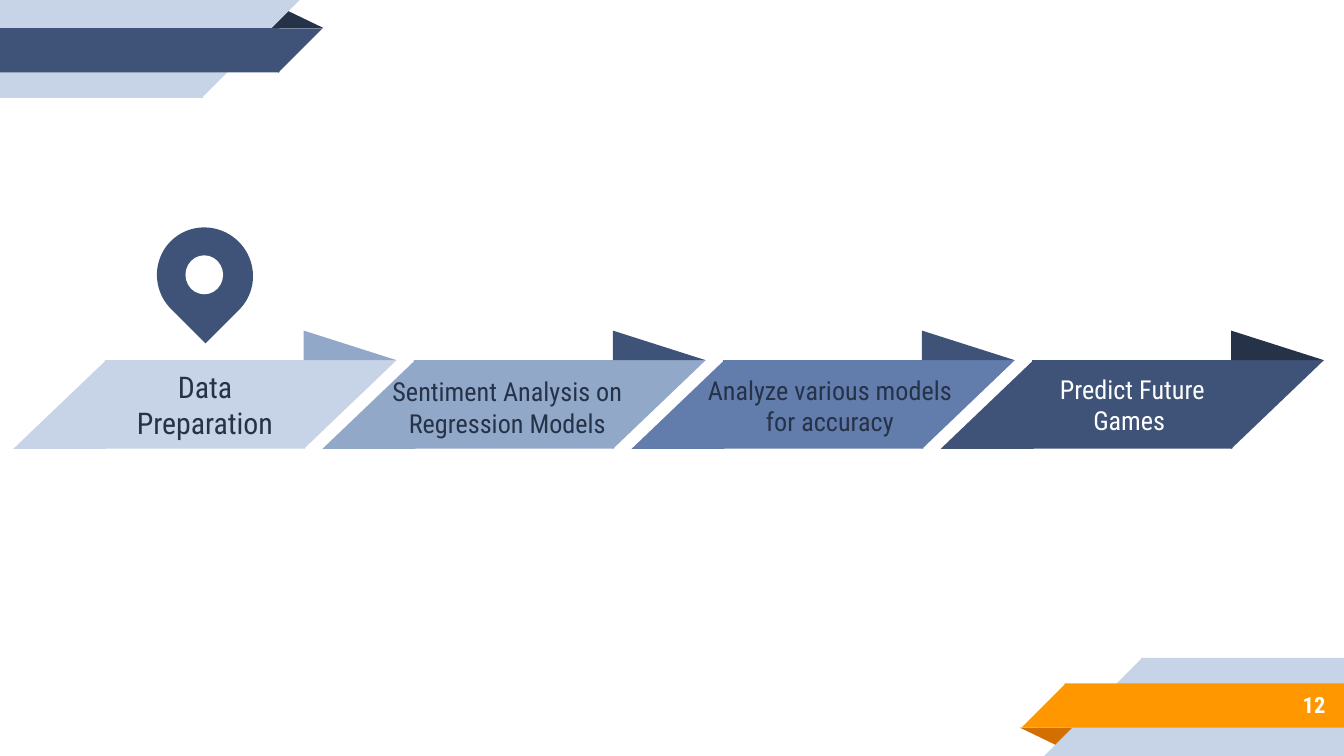
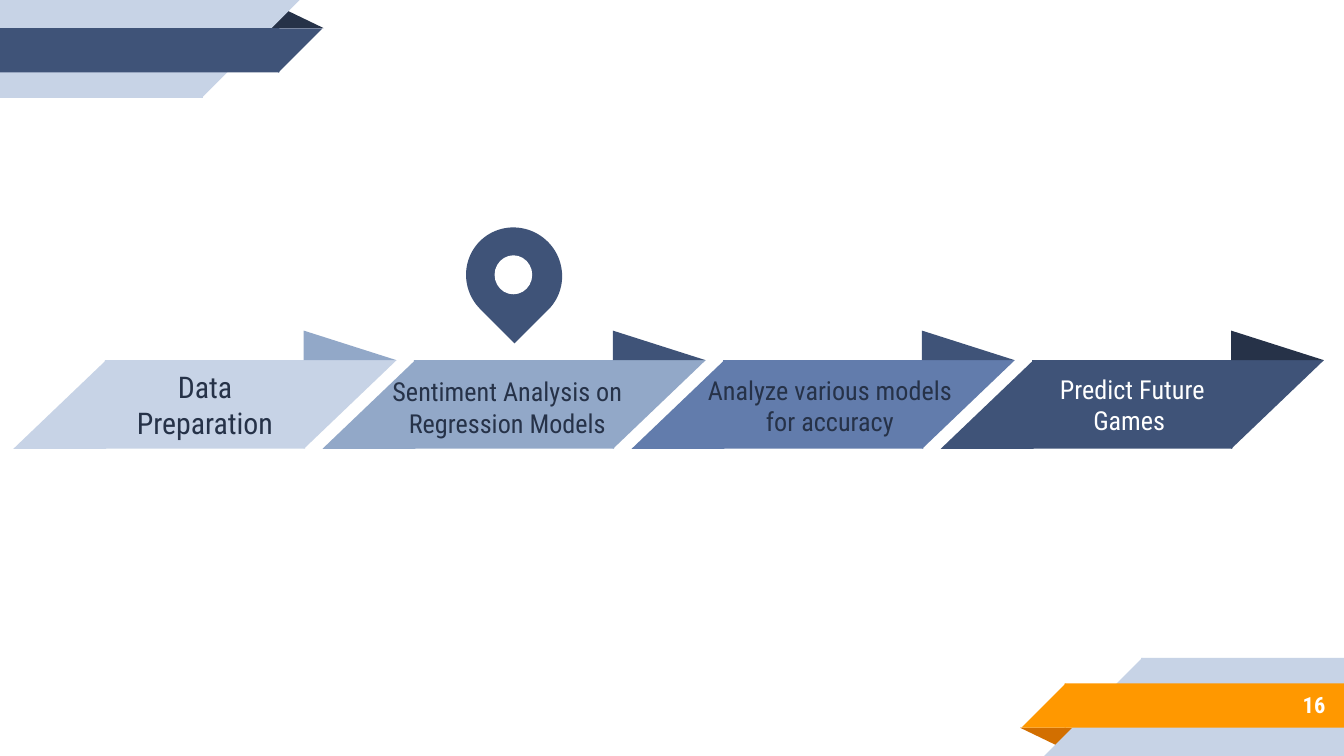
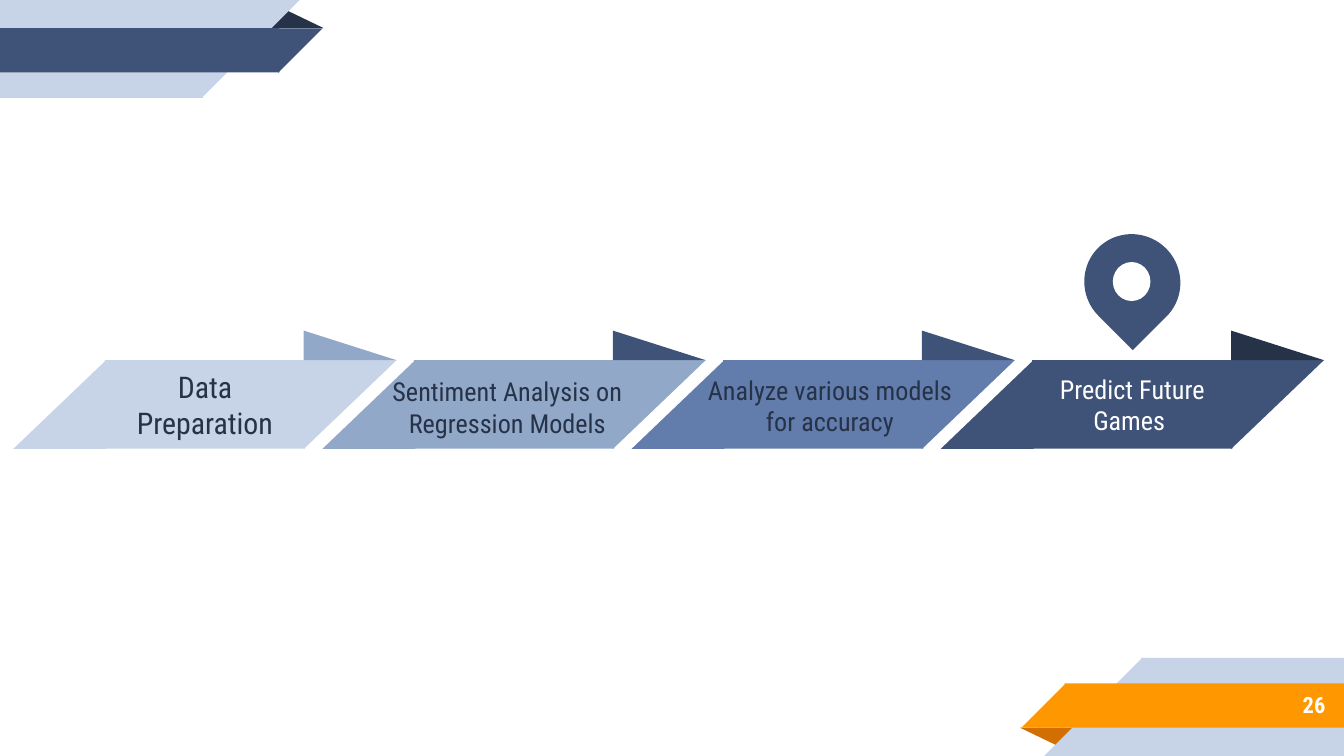
from dataclasses import dataclass

from pptx import Presentation
from pptx.dml.color import RGBColor
from pptx.enum.shapes import MSO_SHAPE as Shape
from pptx.enum.text import MSO_ANCHOR as Anchor, PP_ALIGN as Align
from pptx.util import Inches, Pt


@dataclass(frozen=True)
class Theme:
    """Colours, font and type sizes of the deck."""
    white: str = "FFFFFF"
    pale: str = "C7D3E6"
    light: str = "92A8C8"
    medium: str = "627CAC"
    navy: str = "3F5378"
    ink: str = "263248"
    orange: str = "FF9800"
    rust: str = "D26F00"
    font: str = "Roboto Condensed"
    number_size: int = 12
    step_size: int = 14
    lead_size: int = 16


@dataclass(frozen=True)
class Step:
    """One stage of the process; a caption box is left, top, width, height in the step."""
    label: str
    fill: str
    fold: str
    color: str
    size: int
    caption_box: tuple = None


THEME = Theme()
WIDTH = 10
HEIGHT = WIDTH * 9 / 16
OVERLAP = 0.01
STEPS_LEFT, STEPS_TOP, STEP_PITCH = 0.1, 2.68, 2.3
SLANT, BODY, STEP_HEIGHT, FOLD_HEIGHT = 0.69, 1.49, 0.66, 0.22
STEPS = [
    Step("Data Preparation", THEME.pale, THEME.light, THEME.ink, THEME.lead_size),
    Step("Sentiment Analysis on Regression Models", THEME.light, THEME.navy,
         THEME.ink, THEME.step_size, (0.35, 0.02, 2.05, 0.66)),
    Step("Analyze various models for accuracy", THEME.medium, THEME.navy,
         THEME.ink, THEME.step_size, (0.45, 0.01, 2.05, 0.66)),
    Step("Predict Future Games ", THEME.navy, THEME.ink, THEME.white, THEME.step_size),
]
PAGES = [("12", 0, 1.69), ("16", 1, 1.69), ("26", 3, 1.74)]


def add_block(shapes, kind, box, fill, rotation=0, flip=False, adjustment=None):
    """Add a borderless filled preset shape."""
    shape = shapes.add_shape(kind, *map(Inches, box))
    shape.shadow.inherit = False
    shape.fill.solid()
    shape.fill.fore_color.rgb = RGBColor.from_string(fill)
    shape.line.fill.background()
    shape.rotation = rotation
    if flip:
        shape.element.spPr.get_or_add_xfrm().set("flipH", "1")
    if adjustment is not None:
        shape.adjustments[0] = adjustment
    return shape


def write(shape, text, size, color, align=Align.CENTER, bold=False):
    """Put one vertically centred paragraph into a shape."""
    frame = shape.text_frame
    frame.word_wrap = True
    frame.vertical_anchor = Anchor.MIDDLE
    frame.margin_left = frame.margin_right = Inches(0.1)
    frame.margin_top = frame.margin_bottom = Inches(0.1)
    paragraph = frame.paragraphs[0]
    paragraph.text = text
    paragraph.alignment = align
    font = paragraph.font
    font.name, font.size, font.bold = THEME.font, Pt(size), bold
    font.color.rgb = RGBColor.from_string(color)


def add_text(slide, box, text, size, color, align=Align.CENTER, bold=False):
    """Add a text box."""
    write(slide.shapes.add_textbox(*map(Inches, box)), text, size, color, align, bold)


def add_ribbon(slide, band, fold, at_bottom=False):
    """Add the top left corner ribbon, or the same turned round at the bottom right."""
    group = slide.shapes.add_group_shape()
    parts = [
        (Shape.ISOSCELES_TRIANGLE, (1.98, 0.07, 0.43, 0.14), fold, 0.324),
        (Shape.RECTANGLE, (0, 0, 1.5 + OVERLAP, 0.73), THEME.pale, None),
        (Shape.RIGHT_TRIANGLE, (1.5, 0, 0.73, 0.73), THEME.pale, None),
        (Shape.RECTANGLE, (0, 0.21, 2.07 + OVERLAP, 0.33), band, None),
        (Shape.RIGHT_TRIANGLE, (2.07, 0.21, 0.33, 0.33), band, None),
    ]
    for kind, (left, top, width, height), fill, adjustment in parts:
        slanted = kind == Shape.RIGHT_TRIANGLE
        if at_bottom:
            left, top = WIDTH - left - width, HEIGHT - top - height
        upside_down = slanted != at_bottom
        add_block(group.shapes, kind, (left, top, width, height), fill,
                  180 if upside_down else 0, slanted, adjustment)
    return group


def share_ribbons(slide):
    """Move both ribbons to the layout that all slides use."""
    for ribbon in (add_ribbon(slide, THEME.navy, THEME.ink),
                   add_ribbon(slide, THEME.orange, THEME.rust, at_bottom=True)):
        slide.slide_layout.shapes.element.append(ribbon.element)


def add_step(slide, step, left, top):
    """Add a slanted banner with its folded tip."""
    shapes = slide.shapes.add_group_shape().shapes
    body_left = left + SLANT - OVERLAP
    right = body_left + BODY - OVERLAP
    body = add_block(shapes, Shape.RECTANGLE, (body_left, top, BODY, STEP_HEIGHT), step.fill)
    add_block(shapes, Shape.RIGHT_TRIANGLE, (left, top, SLANT, STEP_HEIGHT), step.fill, flip=True)
    add_block(shapes, Shape.RIGHT_TRIANGLE, (right, top, SLANT, STEP_HEIGHT), step.fill, 180, True)
    add_block(shapes, Shape.ISOSCELES_TRIANGLE,
              (right, top - FOLD_HEIGHT, SLANT, FOLD_HEIGHT), step.fold, adjustment=0)
    if not step.caption_box:
        write(body, step.label, step.size, step.color)


def add_caption(slide, step, left, top):
    """Add the label of a step that is wider than its banner body."""
    x, y, width, height = step.caption_box
    add_text(slide, (left + x, top + y, width, height), step.label, step.size, step.color)


def add_pin(slide, left, top):
    """Add the marker of the current step."""
    shapes = slide.shapes.add_group_shape().shapes
    add_block(shapes, Shape.TEAR, (left, top, 0.71, 0.72), THEME.navy, 135, adjustment=1)
    add_block(shapes, Shape.OVAL, (left + 0.21, top + 0.21, 0.28, 0.29), THEME.white)


def add_process(slide, current, pin_top):
    """Add the row of steps with the pin over the current one."""
    lefts = [STEPS_LEFT + index * STEP_PITCH for index in range(len(STEPS))]
    for step, left in zip(STEPS, lefts):
        add_step(slide, step, left, STEPS_TOP)
    for step, left in zip(STEPS, lefts):
        if step.caption_box:
            add_caption(slide, step, left, STEPS_TOP)
    add_pin(slide, lefts[current] + 1.07, pin_top)


def main():
    """Build and save the deck."""
    presentation = Presentation()
    presentation.slide_width, presentation.slide_height = Inches(WIDTH), Inches(HEIGHT)
    blank = presentation.slide_layouts[6]
    for number, current, pin_top in PAGES:
        slide = presentation.slides.add_slide(blank)
        add_text(slide, (8.33, 5.07, 1.63, 0.35), number, THEME.number_size,
                 THEME.white, Align.RIGHT, bold=True)
        add_process(slide, current, pin_top)
    share_ribbons(presentation.slides[0])
    presentation.save("out.pptx")


if __name__ == "__main__":
    main()
